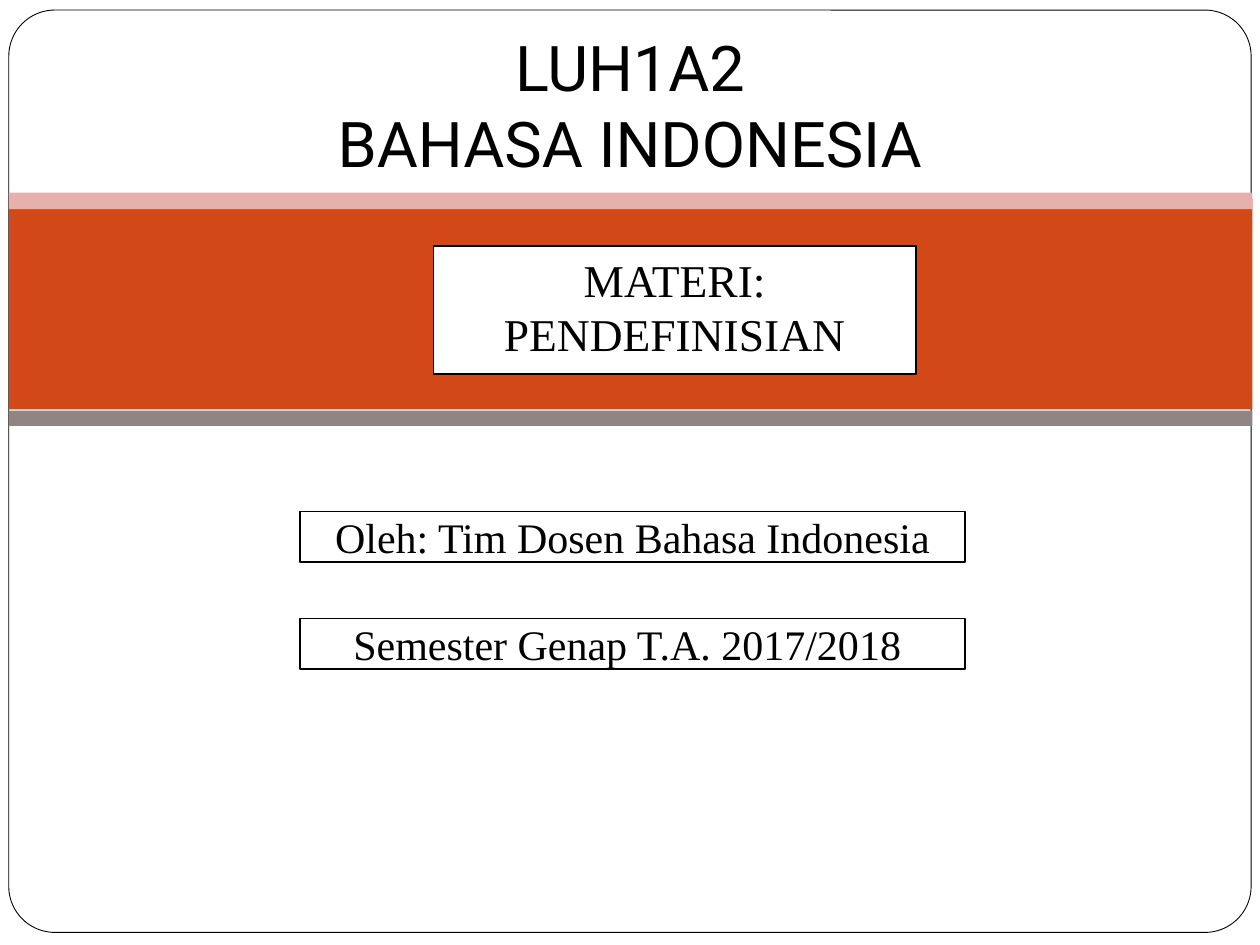
from pptx import Presentation
from pptx.dml.color import RGBColor as RGB
from pptx.enum.shapes import MSO_SHAPE as Kind
from pptx.enum.text import MSO_ANCHOR as Anchor, PP_ALIGN as Align
from pptx.util import Inches, Pt

COLORS = {
    "white": "FFFFFF",
    "black": "000000",
    "orange": "D34817",
    "pink": "E6B1AC",
    "gray": "918485",
}
SERIF = "Times New Roman"


def color(name):
    return RGB.from_string(COLORS[name])


def add_box(slide, left, top, width, height, fill, line=None, kind=Kind.RECTANGLE):
    """Add a filled shape; line is the outline width in points."""
    box = slide.shapes.add_shape(
        kind, Inches(left), Inches(top), Inches(width), Inches(height))
    box.shadow.inherit = False
    box.fill.solid()
    box.fill.fore_color.rgb = color(fill)
    if line:
        box.line.color.rgb = color("black")
        box.line.width = Pt(line)
    else:
        box.line.fill.background()
    return box


def set_text(shape, text, size, font=SERIF, anchor=Anchor.MIDDLE, before=0, bottom=0.05):
    """Write one centred paragraph; a vertical tab breaks the line."""
    frame = shape.text_frame
    frame.word_wrap = True
    frame.vertical_anchor = anchor
    frame.margin_left = frame.margin_right = Inches(0.1)
    frame.margin_top, frame.margin_bottom = Inches(0.05), Inches(bottom)
    para = frame.paragraphs[0]
    para.text = text
    para.alignment = Align.CENTER
    para.space_before = Pt(before)
    para.line_spacing = 1.0
    for run in para.runs:
        run.font.name = font
        run.font.size = Pt(size)
        run.font.color.rgb = color("black")


def add_title(slide, text):
    title = slide.shapes.title
    title.left, title.top = Inches(0.75), Inches(0.31)
    title.width, title.height = Inches(8.5), Inches(1.09)
    set_text(title, text, 36, font="Roboto", bottom=0.1)


def main():
    deck = Presentation()
    deck.slide_width, deck.slide_height = Inches(10), Inches(7.5)
    slide = deck.slides.add_slide(deck.slide_layouts[5])

    # Rounded frame
    frame = add_box(slide, 0.07, 0.08, 9.86, 7.32, "white", 0.5, Kind.ROUNDED_RECTANGLE)
    frame.adjustments[0] = 0.05

    # Colour bands
    for top, height, fill in ((1.58, 1.67, "orange"), (1.53, 0.13, "pink"),
                              (3.26, 0.12, "gray")):
        add_box(slide, 0.07, top, 9.87, height, fill)

    # Title, moved in front of the frame
    add_title(slide, "LUH1A2\vBAHASA INDONESIA")
    slide.shapes._spTree.append(slide.shapes.title._element)

    # Topic
    topic = add_box(slide, 3.44, 1.95, 3.83, 1.02, "white", 1)
    set_text(topic, "MATERI: PENDEFINISIAN", 26, anchor=Anchor.TOP, before=5.8)

    # Author and term
    for top, text in ((4.06, "Oleh: Tim Dosen Bahasa Indonesia"),
                      (4.91, "Semester Genap T.A. 2017/2018 ")):
        label = add_box(slide, 2.38, top, 5.28, 0.4, "white", 1)
        set_text(label, text, 24)

    deck.save("out.pptx")


if __name__ == "__main__":
    main()
